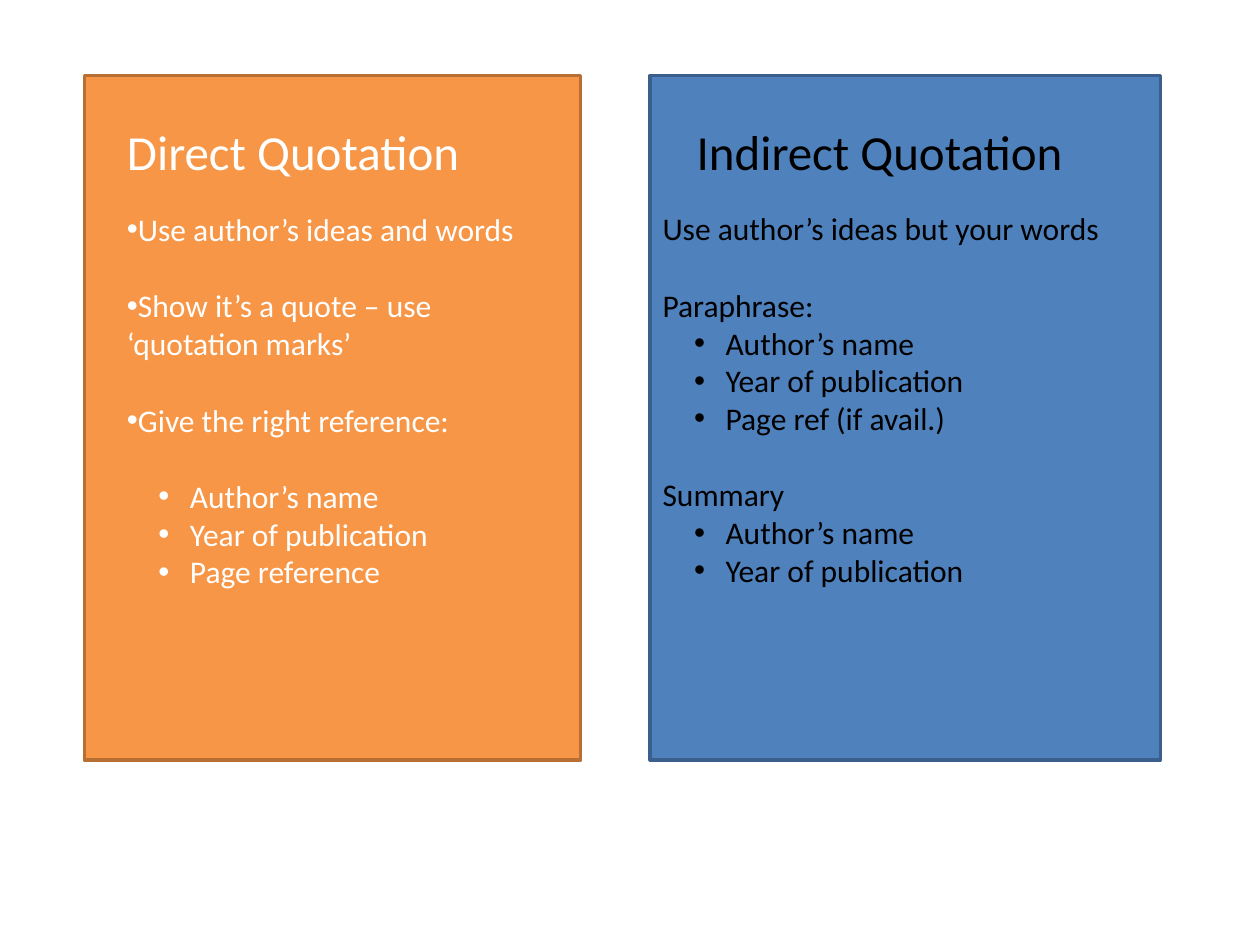
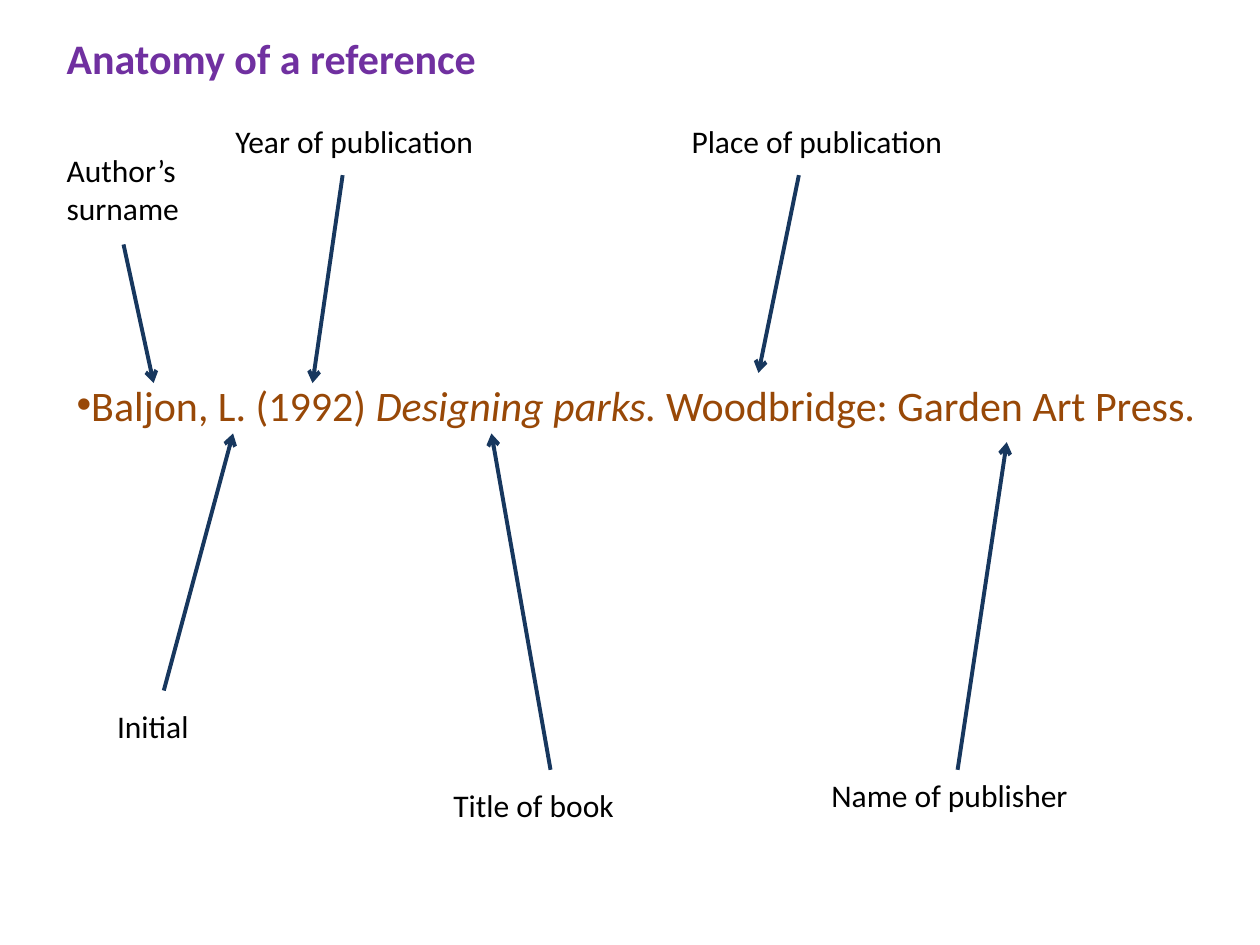
import pptx
import pptx.dml.color
import pptx.enum.shapes
import pptx.enum.text
import pptx.oxml.ns
import pptx.util
import lxml.etree

Pt = pptx.util.Pt
RGBColor = pptx.dml.color.RGBColor
qn = pptx.oxml.ns.qn

# Shared style
FONT = "Calibri"
WHITE = RGBColor(0xFF, 0xFF, 0xFF)
BLACK = RGBColor(0x00, 0x00, 0x00)
ORANGE = RGBColor(0xF7, 0x96, 0x46)
ORANGE_EDGE = RGBColor(0xB7, 0x6F, 0x34)
BLUE = RGBColor(0x4F, 0x81, 0xBD)
BLUE_EDGE = RGBColor(0x3A, 0x5F, 0x8C)
NAVY = RGBColor(0x17, 0x37, 0x5E)
BROWN = RGBColor(0x98, 0x48, 0x07)
PURPLE = RGBColor(0x70, 0x30, 0xA0)
BODY_SIZE = 18
BODY_LINE = 22
SUB_INDENT = 36
SUB_HANG = 18

# Quotation panels: each line is (style, text, blank lines above)
PANEL_TOP, PANEL_HEIGHT = 43.2, 391
HEADING_TOP, HEADING_WIDTH, HEADING_HEIGHT = 66.2, 249, 41
DIRECT_LINES = [
    ("bullet", "Use author’s ideas and words", 0),
    ("bullet", "Show it’s a quote – use ‘quotation marks’", 1),
    ("bullet", "Give the right reference:", 1),
    ("sub", "Author’s name", 1),
    ("sub", "Year of publication", 0),
    ("sub", "Page reference", 0),
]
INDIRECT_LINES = [
    ("plain", "Use author’s ideas but your words", 0),
    ("plain", "Paraphrase:", 1),
    ("sub", "Author’s name", 0),
    ("sub", "Year of publication", 0),
    ("sub", "Page ref (if avail.)", 0),
    ("plain", "Summary", 1),
    ("sub", "Author’s name", 0),
    ("sub", "Year of publication", 0),
]
PANELS = [
    # left, width, fill, edge, heading, heading left, text colour
    (48.2, 283.7, ORANGE, ORANGE_EDGE, "Direct Quotation", 65.5, WHITE),
    (371.5, 291.6, BLUE, BLUE_EDGE, "Indirect Quotation", 391, BLACK),
]

# Reference diagram
REFERENCE = [("Baljon, L. (1992) ", False), ("Designing parks. ", True),
             ("Woodbridge: Garden Art Press.", False)]
PARTS = [
    # label, its box, arrow start, arrow end
    ("Author’s surname", (31, 82.8, 102, 51), (70.6, 139.7), (87.8, 218.9)),
    ("Initial", (59.8, 400.3, 63, 29), (93.6, 394.6), (133.2, 247.7)),
    ("Year of publication", (127.4, 66.2, 158, 29), (195.8, 100.1), (178.6, 218.9)),
    ("Title of book", (252, 445.7, 113, 29), (314.6, 439.9), (280.8, 247.7)),
    ("Place of publication", (388.1, 66.2, 215, 29), (456.5, 100.1), (433.4, 213.1)),
    ("Name of publisher", (468, 439.9, 176, 29), (547.2, 439.9), (575.3, 252.7)),
]


def add_bullet(paragraph, left, hang):
    properties = paragraph._p.get_or_add_pPr()
    properties.set("marL", str(Pt(left)))
    properties.set("indent", str(-Pt(hang)))
    lxml.etree.SubElement(properties, qn("a:buFont")).set("typeface", "Arial")
    lxml.etree.SubElement(properties, qn("a:buChar")).set("char", "•")


def write_text(shape, lines, size=BODY_SIZE, color=BLACK, bold=False, top_inset=3.6):
    """Fill a shape with lines; text is a string or a list of (text, italic) runs."""
    frame = shape.text_frame
    frame.word_wrap = True
    frame.margin_top = Pt(top_inset)
    frame.vertical_anchor = pptx.enum.text.MSO_ANCHOR.TOP
    for index, (style, text, blank_lines) in enumerate(lines):
        paragraph = frame.add_paragraph() if index else frame.paragraphs[0]
        paragraph.alignment = pptx.enum.text.PP_ALIGN.LEFT
        if style == "sub":
            paragraph.level = 1
            add_bullet(paragraph, SUB_INDENT, SUB_HANG)
        elif style == "bullet":
            add_bullet(paragraph, 0, 0)
        if blank_lines:
            paragraph.space_before = Pt(blank_lines * BODY_LINE)
        for words, italic in [(text, False)] if isinstance(text, str) else text:
            run = paragraph.add_run()
            run.text = words
            run.font.name = FONT
            run.font.size = Pt(size)
            run.font.bold = bold
            run.font.italic = italic
            run.font.color.rgb = color


def add_text(slide, box, lines, **text_format):
    if isinstance(lines, str):
        lines = [("plain", lines, 0)]
    write_text(slide.shapes.add_textbox(*map(Pt, box)), lines, **text_format)


def add_panel(slide, left, width, fill, edge):
    panel = slide.shapes.add_shape(
        pptx.enum.shapes.MSO_SHAPE.RECTANGLE,
        Pt(left), Pt(PANEL_TOP), Pt(width), Pt(PANEL_HEIGHT))
    panel.shadow.inherit = False
    panel.fill.solid()
    panel.fill.fore_color.rgb = fill
    panel.line.color.rgb = edge
    panel.line.width = Pt(2)
    return panel


def add_arrow(slide, start, end):
    arrow = slide.shapes.add_connector(
        pptx.enum.shapes.MSO_CONNECTOR.STRAIGHT, *map(Pt, start + end))
    arrow.line.color.rgb = NAVY
    arrow.line.width = Pt(2.25)
    line = arrow.line._get_or_add_ln()
    lxml.etree.SubElement(line, qn("a:tailEnd")).set("type", "arrow")
    lxml.etree.SubElement(arrow._element.spPr, qn("a:effectLst"))


def build_quotation_slide(slide):
    panels = []
    for left, width, fill, edge, heading, heading_left, color in PANELS:
        panels.append(add_panel(slide, left, width, fill, edge))
        add_text(slide, (heading_left, HEADING_TOP, HEADING_WIDTH, HEADING_HEIGHT),
                 heading, size=28, color=color)
    add_text(slide, (65.5, 116.6, 244, 269), DIRECT_LINES, color=WHITE)
    write_text(panels[1], INDIRECT_LINES, top_inset=76.5)


def build_reference_slide(slide):
    add_text(slide, (31, 15.1, 351, 36), "Anatomy of a reference",
             size=24, color=PURPLE, bold=True)
    add_text(slide, (36.7, 213.1, 657.4, 36), [("bullet", REFERENCE, 0)],
             size=24, color=BROWN)
    for label, box, start, end in PARTS:
        add_arrow(slide, start, end)
        add_text(slide, box, label)


def main():
    presentation = pptx.Presentation()
    presentation.slide_width = Pt(720)
    presentation.slide_height = Pt(540)
    blank = presentation.slide_layouts[6]
    for build in (build_quotation_slide, build_reference_slide):
        build(presentation.slides.add_slide(blank))
    presentation.save("out.pptx")


if __name__ == "__main__":
    main()
